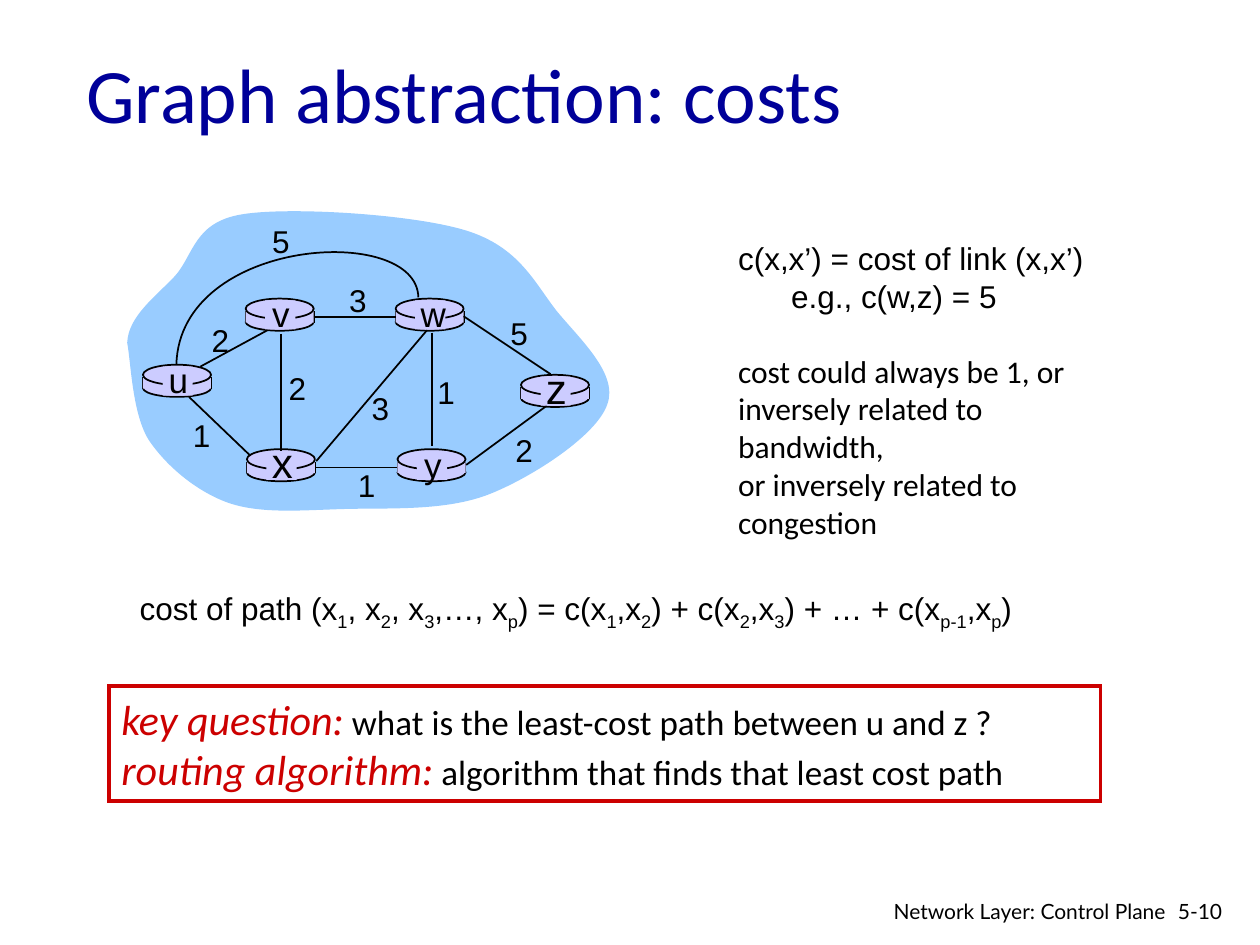
from lxml.etree import SubElement
from pptx import Presentation
from pptx.dml.color import RGBColor as Rgb
from pptx.enum.shapes import MSO_CONNECTOR as Link, MSO_SHAPE as Kind
from pptx.enum.text import MSO_ANCHOR as Anchor, PP_ALIGN as Align
from pptx.oxml.ns import qn
from pptx.util import Inches, Pt

HUE = {"ink": "000000", "title": "000099", "cloud": "99CCFF",
       "node": "CCCCFF", "key": "CC0000"}
WIDE, HIGH = Inches(10), Inches(7.5)
COL, ROW = WIDE / 100, HIGH / 75

CLOUD = [(0.1, 11.2),
         (0.2, 9.1), (2.3, 7.6), (3.9, 5.9), (5.4, 4.2), (5.4, 1.6), (9.3, 1),
         (13.1, 0.4), (22.8, 1), (27, 2.3), (31.2, 3.6), (32.4, 6.4), (34.2, 8.7),
         (36.1, 11), (39.1, 13.7), (38.2, 16.1), (37.4, 18.5), (32.4, 21.8), (28.9, 23.2),
         (25.4, 24.6), (20.8, 24.3), (17.3, 24.4), (13.9, 24.5), (10.7, 24.8), (8.1, 23.9),
         (5.6, 23), (3.2, 21), (1.8, 18.9), (0.5, 16.8), (0.4, 12.8), (0.1, 11.2)]
ARC = [(23.2, 7.6), (23.1, 1.7), (4.3, 2.8), (4, 12.9)]
NODES = {"u": (1.35, 12.95, 20), "x": (9.6, 19.65, 24), "v": (9.5, 7.7, 20),
         "w": (21.4, 7.7, 20), "y": (21.55, 19.65, 20), "z": (31.35, 13.75, 24)}
LINKS = [(24.3, 10.4, 24.3, 19.4), (12.3, 10.5, 12.3, 19.8), (15.1, 20.6, 23.9, 10.2),
         (27, 20.9, 33.4, 16.2), (9.8, 20.1, 5, 15.5), (33.7, 13.7, 26.8, 9.1)]
COSTS = [("2", 5.8, 9), ("2", 11.9, 12.8), ("1", 4.3, 16.5), ("3", 18.5, 14.4),
         ("1", 17.4, 20.5), ("1", 23.7, 13.1), ("2", 29.9, 17.7), ("5", 29.5, 8.4),
         ("3", 16.7, 5.8), ("5", 10.6, 1.1)]


def hue(name):
    """Return a named colour."""
    return Rgb.from_string(HUE[name])


def cells(*spans):
    """Turn grid columns and rows, in turn, into lengths."""
    return [round(n * (ROW if i % 2 else COL)) for i, n in enumerate(spans)]


def style(font, size, face, color="ink", slant=False):
    """Format one font."""
    font.size, font.name, font.italic = Pt(size), face, slant
    font.color.rgb = hue(color)


def label(slide, text, box, size, face="Arial", align=Align.LEFT, wrap=True):
    """Place plain text in a box and return its frame."""
    frame = slide.shapes.add_textbox(*cells(*box)).text_frame
    frame.word_wrap, frame.text = wrap, text
    for para in frame.paragraphs:
        para.alignment = align
        for run in para.runs:
            style(run.font, size, face)
    return frame


def paint(shape, fill=None, line=None, width=1):
    """Give a shape its fill and line, without a shadow."""
    shape.shadow.inherit = False
    if fill:
        shape.fill.solid()
        shape.fill.fore_color.rgb = hue(fill)
    else:
        shape.fill.background()
    if line:
        shape.line.color.rgb, shape.line.width = hue(line), Pt(width)
    else:
        shape.line.fill.background()
    return shape


def solid(slide, kind, box, fill=None, line=None, width=1):
    """Add a painted preset shape."""
    return paint(slide.shapes.add_shape(kind, *cells(*box)), fill, line, width)


def wire(slide, ends):
    """Draw one straight line."""
    line = slide.shapes.add_connector(Link.STRAIGHT, *cells(*ends))
    line.line.color.rgb, line.line.width = hue("ink"), Pt(1)
    SubElement(line._element.spPr, qn("a:effectLst"))
    return line


def curve(slide, left, top, knots, closed, fill=None, line=None):
    """Draw a chain of cubic curves through every third knot."""
    spots = [cells(left + x, top + y) for x, y in knots]
    pen = slide.shapes.build_freeform(*spots[0])
    pen.add_line_segments(spots[1:], close=closed)
    shape = paint(pen.convert_to_shape(), fill, line)
    steps = list(shape._element.iter(qn("a:lnTo")))
    for first, second, third in zip(steps[::3], steps[1::3], steps[2::3]):
        bend = first.makeelement(qn("a:cubicBezTo"))
        first.addprevious(bend)
        for step in (first, second, third):
            bend.append(step[0])
            step.getparent().remove(step)


def router(slide, left, top):
    """Draw a router drum and return its body."""
    solid(slide, Kind.OVAL, (left, top + 1.15, 5.4, 1.4), "node", "ink")
    for x in (left, left + 5.4):
        wire(slide, (x, top + 1, x, top + 1.9))
    body = solid(slide, Kind.RECTANGLE, (left, top + 1, 5.4, 0.9), "node")
    solid(slide, Kind.OVAL, (left, top, 5.4, 1.6), "node", "ink")
    return body


def graph(slide, left, top):
    """Draw the network with its link costs."""
    def shift(ends):
        return [n + (top if i % 2 else left) for i, n in enumerate(ends)]

    curve(slide, left, top, CLOUD, True, fill="cloud")
    wire(slide, shift((5.9, 13.1, 11.8, 9.9)))
    drums = {name: router(slide, left + x, top + y) for name, (x, y, _) in NODES.items()}
    for ends in LINKS:
        wire(slide, shift(ends))
    for a, b in ("vw", "xy"):
        line = wire(slide, shift((0, 0, 1, 1)))
        line.begin_connect(drums[a], 3)
        line.end_connect(drums[b], 1)
    curve(slide, left, top, ARC, False, line="ink")
    for name, (x, y, size) in NODES.items():
        x, y = left + x, top + y
        solid(slide, Kind.RECTANGLE, (x + 1.55, y + 0.15, 2.4, 2.3), "node")
        rise, tall = (1.5, 5) if size == 24 else (0.95, 4.3)
        label(slide, name, (x + 1, y - rise, 3.6, tall), size,
              align=Align.CENTER, wrap=False)
    for cost, x, y in COSTS:
        label(slide, cost, (left + x, top + y, 3.4, 4), 18,
              align=Align.CENTER, wrap=False)


def heading(slide, box):
    """Place and format the title."""
    title = slide.shapes.title
    title.left, title.top, title.width, title.height = cells(*box)
    frame = title.text_frame
    frame.text, frame.vertical_anchor = "Graph abstraction: costs", Anchor.MIDDLE
    frame.paragraphs[0].alignment = Align.LEFT
    style(frame.paragraphs[0].runs[0].font, 44, "Calibri", "title")


def notes(slide, box):
    """Explain the cost of one link."""
    lines = ["c(x,x’) = cost of link (x,x’)", "e.g., c(w,z) = 5",
             "cost could always be 1, or", "inversely related to bandwidth,",
             "or inversely related to", "congestion"]
    paras = label(slide, "\n".join(lines), box, 18).paragraphs
    paras[1]._p.get_or_add_pPr().set("marL", str(Inches(0.42)))
    paras[2].space_before = Pt(21)
    for para in paras[2:]:
        para.runs[0].font.name = "Calibri"


def formula(slide, box):
    """Write the path cost, with every second piece as a subscript."""
    parts = ("cost of path (x|1|, x|2|, x|3|,…, x|p|) = c(x|1|,x|2|) + c(x|2|,x|3"
             "|) + … + c(x|p-1|,x|p|)").split("|")
    para = label(slide, "", box, 18).paragraphs[0]
    for i, part in enumerate(parts):
        run = para.add_run()
        run.text = part
        style(run.font, 18, "Arial")
        if i % 2:
            run._r.get_or_add_rPr().set("baseline", "-25000")


def question(slide, box):
    """Frame the key question."""
    shape = solid(slide, Kind.RECTANGLE, box, line="key", width=2.25)
    SubElement(shape._element.spPr.find(qn("a:ln")), qn("a:miter"), lim="800000")
    frame = shape.text_frame
    frame.word_wrap = True
    rows = [("key question:", " what is the least-cost path between u and z ?"),
            ("routing algorithm:", " algorithm that finds that least cost path")]
    for i, row in enumerate(rows):
        para = frame.add_paragraph() if i else frame.paragraphs[0]
        para.alignment = Align.LEFT
        for text, look in zip(row, [(24, "Calibri", "key", True), (20, "Calibri")]):
            run = para.add_run()
            run.text = text
            style(run.font, *look)


def footer(slide, top):
    """Write the chapter and page number."""
    label(slide, "5-10", (92.5, top, 6, 3), 12, "Lato")
    label(slide, "Network Layer: Control Plane", (69.7, top, 23.8, 2.6), 12,
          "Lato", Align.RIGHT)


def main():
    """Build the slide."""
    deck = Presentation()
    deck.slide_width, deck.slide_height = WIDE, HIGH
    slide = deck.slides.add_slide(deck.slide_layouts[5])
    heading(slide, (5.85, 2.4, 85, 9.9))
    graph(slide, 10, 16)
    notes(slide, (57.6, 18.5, 33.4, 22))
    formula(slide, (10.1, 46.25, 73.9, 4))
    question(slide, (8.65, 54.45, 78.7, 9.1))
    footer(slide, 70.8)
    deck.save("out.pptx")


if __name__ == "__main__":
    main()
